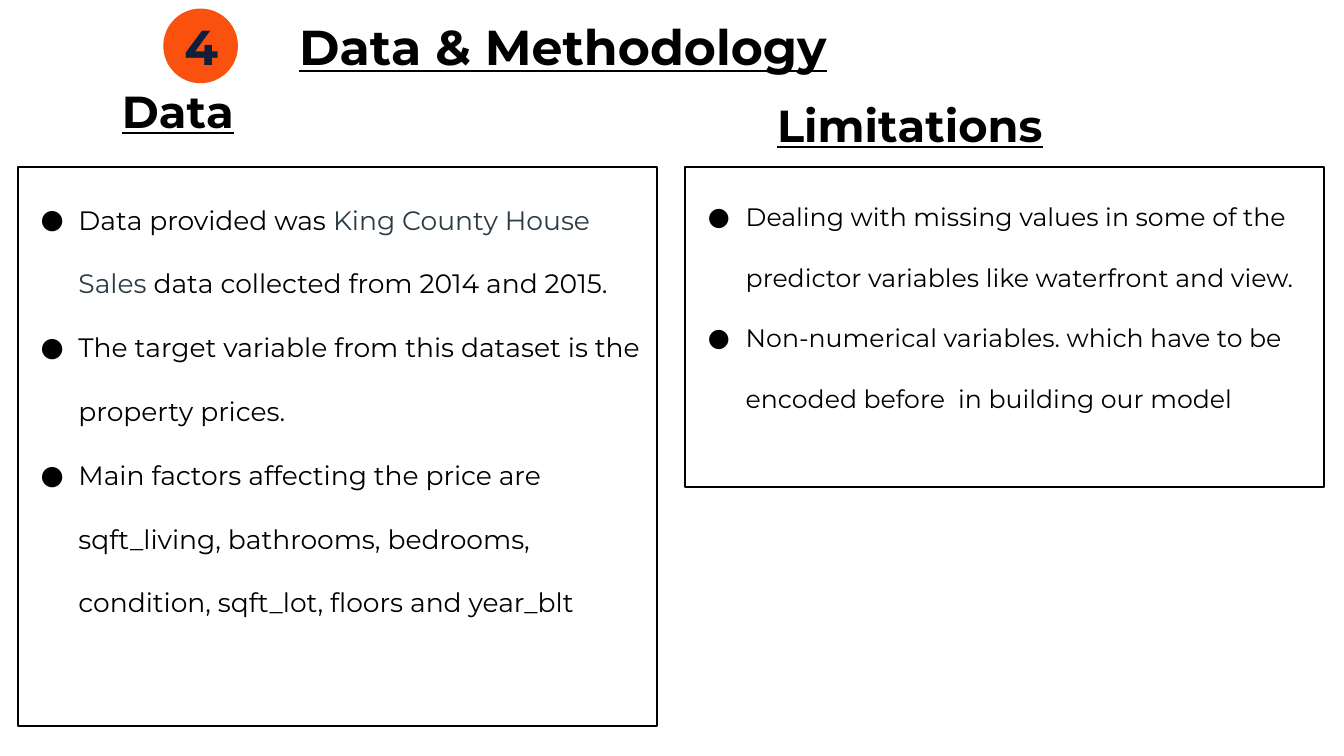
import pptx
import pptx.dml.color
import pptx.enum.shapes
import pptx.enum.text
import pptx.oxml
import pptx.oxml.ns
import pptx.util

Pt = pptx.util.Pt
ANCHOR = pptx.enum.text.MSO_ANCHOR
FONT = "Montserrat"
BLACK = "000000"
ORANGE = "FA510F"
NAVY = "101F3C"
SLATE = "2D3B45"

DATA_POINTS = [
    [("Data provided was ", BLACK), ("King County House Sales", SLATE),
     (" data collected from 2014 and 2015.", BLACK)],
    [("The target variable from this dataset is the property prices.", BLACK)],
    [("Main factors affecting the price are sqft_living, bathrooms, bedrooms, "
      "condition, sqft_lot, floors and year_blt", BLACK)],
]
LIMITATIONS = [
    [("Dealing with missing values in some of the predictor variables "
      "like waterfront and view.", BLACK)],
    [("Non-numerical variables. which have to be encoded before  in "
      "building our model", BLACK)],
]


def rgb(color):
    return pptx.dml.color.RGBColor.from_string(color)


def add_run(paragraph, text, size, color=BLACK, bold=False, underline=False):
    run = paragraph.add_run()
    run.text = text
    run.font.name = FONT
    run.font.size = Pt(size)
    run.font.bold = bold
    run.font.underline = underline
    run.font.color.rgb = rgb(color)


def set_frame(shape, anchor, vertical_inset=3.6):
    frame = shape.text_frame
    frame.word_wrap = True
    frame.vertical_anchor = anchor
    frame.margin_left = frame.margin_right = Pt(7.2)
    frame.margin_top = frame.margin_bottom = Pt(vertical_inset)
    return frame


def add_heading(slide, text, left, top, width, height, size, anchor=ANCHOR.TOP):
    heading = slide.shapes.add_textbox(Pt(left), Pt(top), Pt(width), Pt(height))
    frame = set_frame(heading, anchor)
    add_run(frame.paragraphs[0], text, size, bold=True, underline=True)


def add_badge(slide, number, left, top, diameter):
    badge = slide.shapes.add_shape(
        pptx.enum.shapes.MSO_SHAPE.FLOWCHART_CONNECTOR,
        Pt(left), Pt(top), Pt(diameter), Pt(diameter))
    badge.shadow.inherit = False
    badge.fill.solid()
    badge.fill.fore_color.rgb = rgb(ORANGE)
    badge.line.color.rgb = rgb(ORANGE)
    badge.line.width = Pt(0.75)
    paragraph = set_frame(badge, ANCHOR.MIDDLE, 7.2).paragraphs[0]
    paragraph.alignment = pptx.enum.text.PP_ALIGN.CENTER
    add_run(paragraph, number, 35, NAVY, bold=True)


def set_bullet(paragraph):
    properties = paragraph._p.get_or_add_pPr()
    properties.set("marL", str(Pt(36)))
    properties.set("indent", str(-Pt(27)))
    namespace = pptx.oxml.ns.nsdecls("a")
    for xml in (
        f'<a:buClr {namespace}><a:srgbClr val="{BLACK}"/></a:buClr>',
        f'<a:buFont {namespace} typeface="{FONT}"/>',
        f'<a:buChar {namespace} char="●"/>',
    ):
        properties.append(pptx.oxml.parse_xml(xml))


def add_panel(slide, points, left, height, size):
    panel = slide.shapes.add_shape(
        pptx.enum.shapes.MSO_SHAPE.RECTANGLE,
        Pt(left), Pt(119), Pt(456.5), Pt(height))
    panel.shadow.inherit = False
    panel.fill.background()
    panel.line.color.rgb = rgb(BLACK)
    panel.line.width = Pt(1.5)
    frame = set_frame(panel, ANCHOR.TOP)
    for index, point in enumerate(points):
        paragraph = frame.add_paragraph() if index else frame.paragraphs[0]
        paragraph.alignment = pptx.enum.text.PP_ALIGN.LEFT
        paragraph.line_spacing = 2.0
        set_bullet(paragraph)
        for text, color in point:
            add_run(paragraph, text, size, color)


def main():
    deck = pptx.Presentation()
    deck.slide_width, deck.slide_height = Pt(960), Pt(540)
    slide = deck.slides.add_slide(deck.slide_layouts[6])

    # Title with its section number
    add_heading(slide, "Data & Methodology", 206.6, 0, 420.5, 66.2, 35, ANCHOR.MIDDLE)
    add_badge(slide, "4", 117, 6.5, 52.6)

    # Data column
    add_panel(slide, DATA_POINTS, 13, 399.6, 19)
    add_heading(slide, "Data", 80, 56.2, 202.3, 46, 32)

    # Limitations column
    add_panel(slide, LIMITATIONS, 489.6, 229, 18)
    add_heading(slide, "Limitations", 548, 66.2, 263.5, 46, 32)

    deck.save("out.pptx")


if __name__ == "__main__":
    main()
